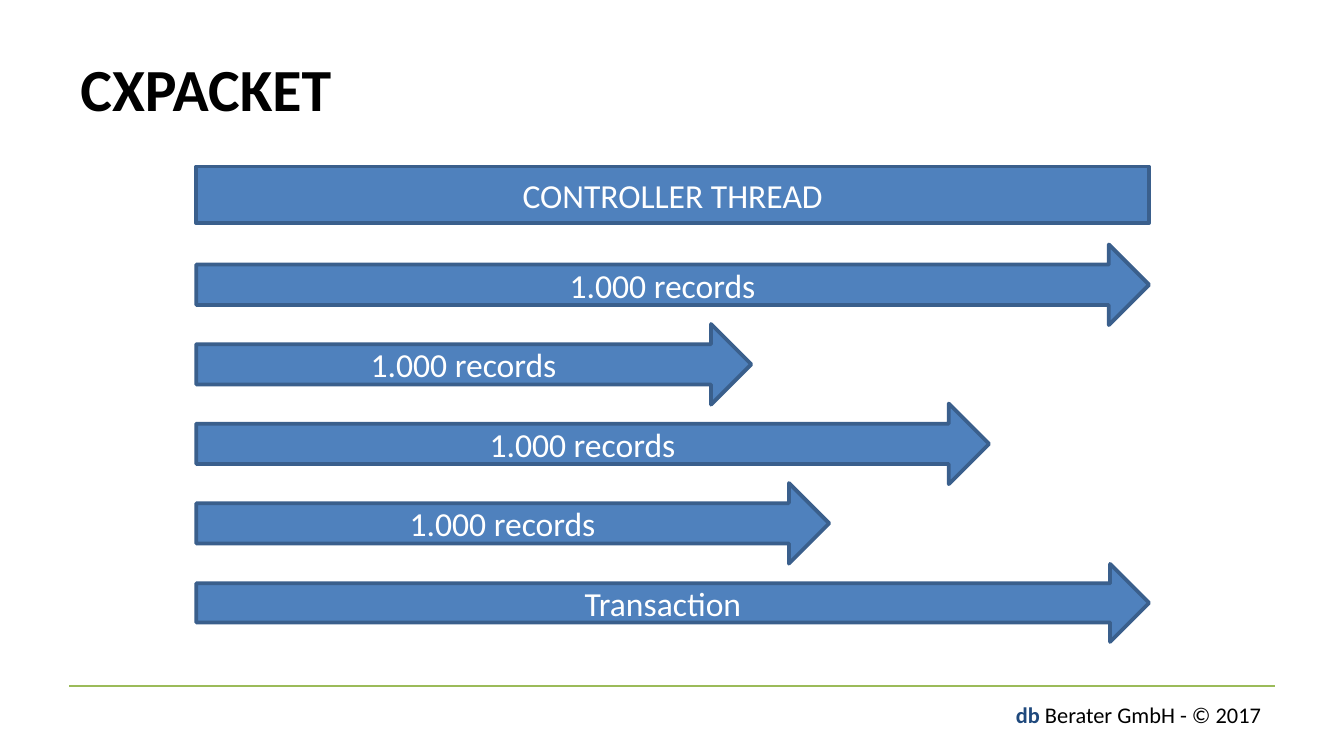
from pptx import Presentation
from pptx.dml.color import RGBColor
from pptx.enum.shapes import MSO_CONNECTOR, MSO_SHAPE
from pptx.enum.text import MSO_ANCHOR, PP_ALIGN
from pptx.oxml.ns import qn
from pptx.util import Pt
from lxml.etree import SubElement

COLORS = {
    "fill": "4F81BD",
    "outline": "3A5F8C",
    "rule": "9BBB59",
    "brand": "1F497D",
    "text": "000000",
    "label": "FFFFFF",
}
FONT = "Calibri"
TITLE = "CXPACKET"
CONTROLLER = "CONTROLLER THREAD"
FOOTER = [("db", "brand", True), (" Berater GmbH - © 2017", "text", False)]
THREADS = [
    ("1.000 records", 510.5, 43.2),
    ("1.000 records", 297.4, 43.2),
    ("1.000 records", 424.8, 43.2),
    ("1.000 records", 339.1, 43.2),
    ("Transaction", 510.5, 41.8),
]
LEFT, FULL_WIDTH = 105.1, 510.5
FIRST_CENTER, PITCH = 152.6, 42.6


def color(name):
    return RGBColor.from_string(COLORS[name])


def style(span, size, name, bold=False):
    span.font.name = FONT
    span.font.size = Pt(size)
    span.font.bold = bold
    span.font.color.rgb = color(name)


def add_text(page, left, top, width, height, spans, size, align, anchor):
    box = page.shapes.add_textbox(Pt(left), Pt(top), Pt(width), Pt(height))
    frame = box.text_frame
    frame.word_wrap = True
    frame.vertical_anchor = anchor
    paragraph = frame.paragraphs[0]
    paragraph.alignment = align
    for text, name, bold in spans:
        span = paragraph.add_run()
        span.text = text
        style(span, size, name, bold)


def add_bar(page, kind, top, width, height, text):
    bar = page.shapes.add_shape(kind, Pt(LEFT), Pt(top), Pt(width), Pt(height))
    bar.shadow.inherit = False
    bar.fill.solid()
    bar.fill.fore_color.rgb = color("fill")
    bar.line.color.rgb = color("outline")
    bar.line.width = Pt(2)
    frame = bar.text_frame
    frame.text = text
    frame.word_wrap = True
    frame.vertical_anchor = MSO_ANCHOR.MIDDLE
    frame.margin_left = frame.margin_right = Pt(5.3)
    frame.margin_top = frame.margin_bottom = Pt(2.7)
    paragraph = frame.paragraphs[0]
    paragraph.alignment = PP_ALIGN.CENTER
    style(paragraph.runs[0], 18, "label")


deck = Presentation()
deck.slide_width, deck.slide_height = Pt(720), Pt(405)
page = deck.slides.add_slide(deck.slide_layouts[6])

rule = page.shapes.add_connector(
    MSO_CONNECTOR.STRAIGHT, Pt(37), Pt(367.5), Pt(683), Pt(367.5)
)
rule.line.color.rgb = color("rule")
rule.line.width = Pt(1.5)
SubElement(rule._element.spPr, qn("a:effectLst"))

add_text(page, 524.2, 372.3, 158.6, 21.8, FOOTER, 12, PP_ALIGN.RIGHT, MSO_ANCHOR.TOP)
add_text(page, 36, 15.4, 647, 62.6, [(TITLE, "text", True)], 32,
         PP_ALIGN.LEFT, MSO_ANCHOR.MIDDLE)

for index, (text, width, height) in reversed(list(enumerate(THREADS))):
    top = FIRST_CENTER + index * PITCH - height / 2
    add_bar(page, MSO_SHAPE.RIGHT_ARROW, top, width, height, text)
add_bar(page, MSO_SHAPE.RECTANGLE, 89.2, FULL_WIDTH, 30.3, CONTROLLER)

deck.save("out.pptx")
